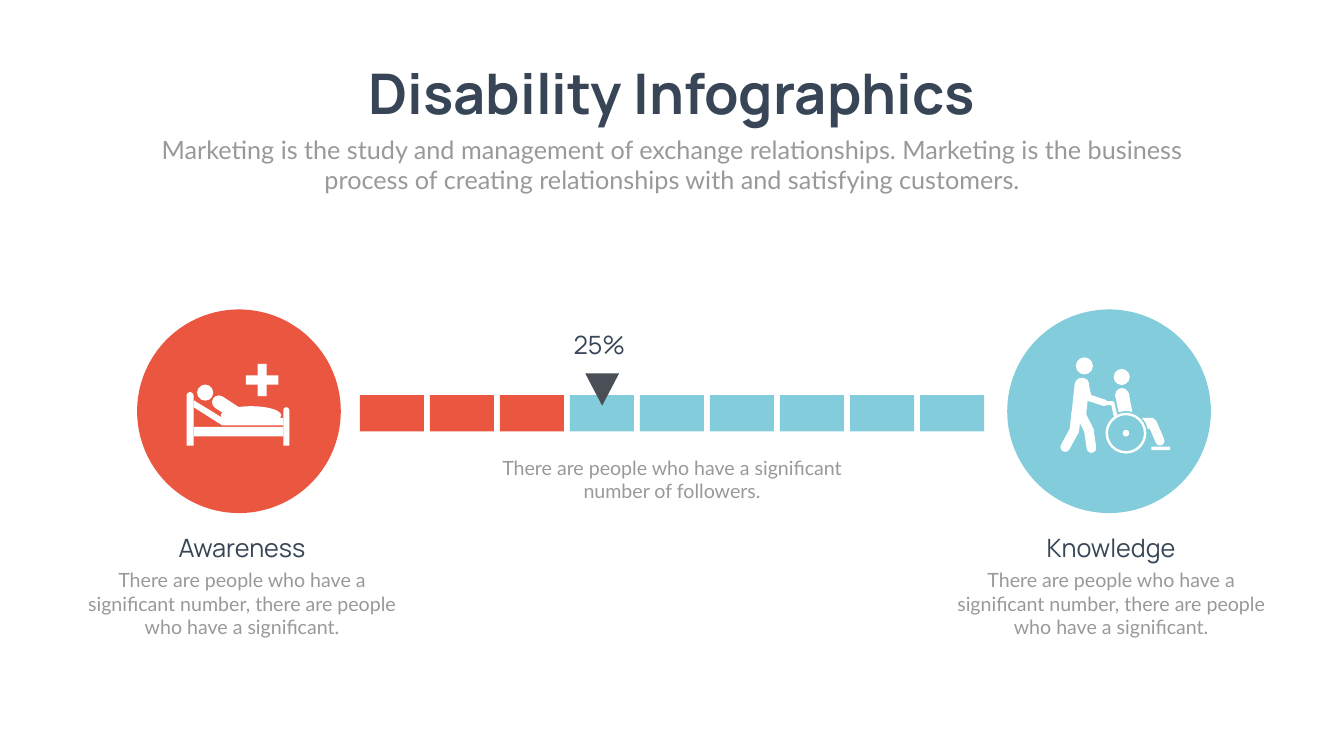
from math import atan2, degrees, hypot

from pptx import Presentation
from pptx.dml.color import RGBColor
from pptx.enum.shapes import MSO_SHAPE as Preset
from pptx.enum.text import PP_ALIGN as Align
from pptx.util import Inches, Pt

COLORS = {
    "background": "FEFFFE",
    "navy": "374556",
    "gray": "999999",
    "red": "EB5640",
    "blue": "82CCDB",
    "marker": "4A4E57",
    "white": "FFFFFF",
}
HEADING_FONT = "Manrope"
BODY_FONT = "Lato"
CIRCLE_SIZE = 4.04


def paint(shape, color):
    shape.shadow.inherit = False
    shape.fill.solid()
    shape.fill.fore_color.rgb = RGBColor.from_string(COLORS[color])
    shape.line.fill.background()
    return shape


def add_text(shapes, text, box, size=28, font=BODY_FONT, color="gray", bold=False):
    frame = shapes.add_textbox(*map(Inches, box)).text_frame
    frame.word_wrap = True
    paragraph = frame.paragraphs[0]
    paragraph.alignment = Align.CENTER
    run = paragraph.add_run()
    run.text = text
    run.font.size = Pt(size)
    run.font.name = font
    run.font.bold = bold
    run.font.color.rgb = RGBColor.from_string(COLORS[color])


def add_preset(shapes, preset, box, color, adjustments=()):
    shape = paint(shapes.add_shape(preset, *map(Inches, box)), color)
    for index, value in enumerate(adjustments):
        shape.adjustments[index] = value
    return shape


class Icon:
    def __init__(self, slide, left, top):
        self.shapes = slide.shapes.add_group_shape().shapes
        self.left, self.top = left, top

    def piece(self, preset, x, y, width, height, *adjustments):
        box = (self.left + x, self.top + y, width, height)
        return add_preset(self.shapes, preset, box, "white", adjustments)

    def disc(self, x, y, diameter):
        self.piece(Preset.OVAL, x, y, diameter, diameter)

    def limb(self, start, end, thickness):
        run, rise = end[0] - start[0], end[1] - start[1]
        length = hypot(run, rise) + thickness
        x = (start[0] + end[0] - length) / 2
        y = (start[1] + end[1] - thickness) / 2
        shape = self.piece(Preset.ROUNDED_RECTANGLE, x, y, length, thickness, 0.5)
        shape.rotation = degrees(atan2(rise, run))

    def outline(self, *points):
        corners = [(Inches(self.left + x), Inches(self.top + y)) for x, y in points]
        builder = self.shapes.build_freeform(*corners[0])
        builder.add_line_segments(corners[1:], close=True)
        paint(builder.convert_to_shape(), "white")


def draw_patient(slide, left, top):
    icon = Icon(slide, left, top)
    for x, y, width, height in ((0.98, 1.64, 0.14, 1.06), (2.9, 1.94, 0.12, 0.76)):
        icon.piece(Preset.ROUND_2_SAME_RECTANGLE, x, y, width, height, 0.5, 0)
    icon.piece(Preset.RECTANGLE, 1.12, 2.33, 1.78, 0.19)
    icon.outline((1.12, 1.8), (1.69, 2.15), (2.9, 2.15),
                 (2.9, 2.3), (1.69, 2.3), (1.12, 1.94))
    icon.piece(Preset.OVAL, 1.66, 1.92, 1.2, 0.36)
    icon.disc(1.19, 1.49, 0.32)
    icon.limb((1.62, 1.84), (2.08, 2.14), 0.27)
    icon.piece(Preset.CROSS, 2.16, 1.08, 0.64, 0.64, 0.36)


def draw_wheelchair(slide, left, top):
    icon = Icon(slide, left, top)
    carer_head, rider_head = (1.36, 0.95, 0.34), (2.11, 1.18, 0.32)
    rider_shoulder, hub = (2.14, 1.56, 0.27), (2.29, 2.39, 0.13)
    for disc in (carer_head, rider_head, rider_shoulder, hub):
        icon.disc(*disc)
    elbow, rear_knee, front_knee = (1.61, 1.75), (1.33, 2.4), (1.62, 2.4)
    limbs = (
        ((1.48, 1.5), (1.42, 2.08), 0.29),
        ((1.54, 1.44), elbow, 0.13),
        (elbow, (1.92, 1.85), 0.13),
        ((1.37, 2.05), rear_knee, 0.19),
        (rear_knee, (1.15, 2.73), 0.19),
        ((1.46, 2.08), front_knee, 0.19),
        (front_knee, (1.67, 2.75), 0.19),
        ((2.09, 1.86), (2.15, 2.12), 0.07),
        ((2.88, 2.26), (3.03, 2.61), 0.18),
    )
    for start, end, thickness in limbs:
        icon.limb(start, end, thickness)
    icon.outline((2.41, 1.65), (2.48, 2.03), (2.34, 2.01), (2.21, 2.04), (2.14, 1.7))
    icon.outline((2.67, 2.15), (2.89, 2.15), (2.97, 2.26), (2.89, 2.37),
                 (2.79, 2.37), (2.75, 2.25))
    icon.piece(Preset.DONUT, 1.95, 2.05, 0.81, 0.81, 0.06)
    icon.piece(Preset.RECTANGLE, 1.89, 1.82, 0.2, 0.08)
    icon.piece(Preset.RECTANGLE, 2.86, 2.72, 0.37, 0.07)


def add_header(slide, left, top, width):
    add_text(slide.shapes, "Disability Infographics",
             (left + 3.79, top, 13.24, 1.45),
             size=80, font=HEADING_FONT, color="navy", bold=True)
    add_text(slide.shapes,
             "Marketing is the study and management of exchange relationships. "
             "Marketing is the business process of creating relationships with "
             "and satisfying customers.",
             (left, top + 1.49, width, 1.31), size=36)


def add_progress(slide, left, top, width, count=9, filled=3):
    bar_width, bar_height = 1.27, 0.72
    pitch = (width - bar_width) / (count - 1)
    add_text(slide.shapes, "25%", (left + 3.63, top - 1.36, 2.24, 0.71),
             size=36, font=HEADING_FONT, color="navy")
    for index in range(count):
        add_preset(slide.shapes, Preset.RECTANGLE,
                   (left + index * pitch, top, bar_width, bar_height),
                   "red" if index < filled else "blue")
    add_preset(slide.shapes, Preset.FLOWCHART_MERGE,
               (left + 4.47, top - 0.43, 0.67, 0.64), "marker")
    add_text(slide.shapes,
             "There are people who have a significant number of followers.",
             (left + 2.66, top + 1.15, 7.06, 1.04))


def add_topic(slide, left, top, title, color, draw_icon, text_left):
    add_preset(slide.shapes, Preset.OVAL, (left, top, CIRCLE_SIZE, CIRCLE_SIZE), color)
    draw_icon(slide, left, top)
    add_text(slide.shapes, title, (text_left + 1.85, top + 4.38, 3.04, 0.71),
             size=36, font=HEADING_FONT, color="navy")
    add_text(slide.shapes,
             "There are people who have a significant number, "
             "there are people who have a significant.",
             (text_left, top + 5.08, 6.74, 1.51))


def main():
    presentation = Presentation()
    presentation.slide_width = Inches(26.66)
    presentation.slide_height = Inches(15)
    slide = presentation.slides.add_slide(presentation.slide_layouts[6])
    slide.background.fill.solid()
    slide.background.fill.fore_color.rgb = RGBColor.from_string(COLORS["background"])
    add_header(slide, 2.92, 1.12, 20.82)
    add_progress(slide, 7.14, 7.84, 12.38)
    add_topic(slide, 2.72, 6.14, "Awareness", "red", draw_patient, 1.43)
    add_topic(slide, 19.98, 6.14, "Knowledge", "blue", draw_wheelchair, 18.67)
    presentation.save("out.pptx")


if __name__ == "__main__":
    main()
